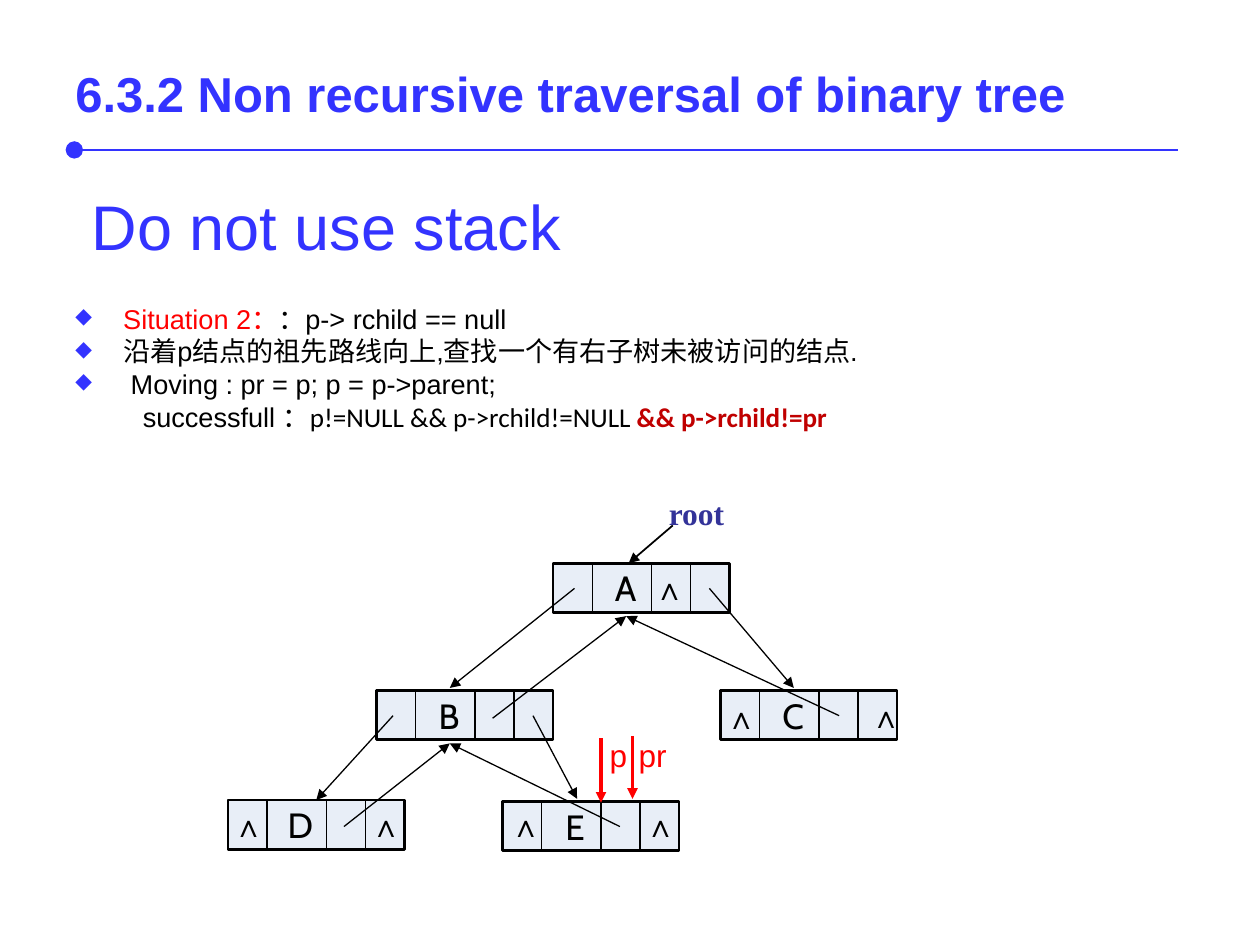
from lxml.etree import SubElement
from pptx import Presentation
from pptx.dml.color import RGBColor
from pptx.enum.shapes import MSO_CONNECTOR, MSO_SHAPE
from pptx.enum.text import MSO_ANCHOR, MSO_AUTO_SIZE, PP_ALIGN
from pptx.oxml.ns import qn
from pptx.util import Inches, Pt

BLUE = RGBColor(0x33, 0x33, 0xFF)
NAVY = RGBColor(0x33, 0x33, 0x99)
RED = RGBColor(0xFF, 0x00, 0x00)
DARK_RED = RGBColor(0xC0, 0x00, 0x00)
BLACK = RGBColor(0x00, 0x00, 0x00)
PALE = RGBColor(0xE8, 0xEE, 0xF7)

SLIDE_WIDTH, SLIDE_HEIGHT = Inches(10), Inches(7.5)
UNIT = SLIDE_WIDTH / 100
NODE_WIDTH, NODE_HEIGHT = 14, 3.9
DIVIDERS = (3.1, 7.8, 10.9)

TITLE = {"name": "Arial", "size": Pt(28), "bold": True}
HEADING = {"name": "Arial", "size": Pt(36)}
BODY = {"name": "Arial", "size": Pt(15.5)}
CODE = {"name": "Calibri", "size": Pt(15.5)}
CODE_BOLD = {**CODE, "bold": True}
ROOT = {"name": "Times New Roman", "size": Pt(18), "bold": True}
LETTER = {"name": "Cabin", "size": Pt(20)}
NIL = {"name": "Arial", "size": Pt(18), "bold": True}
POINTER = {"name": "Arial", "size": Pt(18)}

NODES = {
    "A": (43.9, 44.7),
    "B": (29.9, 54.8),
    "C": (57.2, 54.8),
    "D": (18.1, 63.5),
    "E": (39.9, 63.6),
}
NIL_MARKS = [
    (50.9, 44.7), (56.6, 54.9), (68.1, 54.8),
    (17.5, 63.5), (28.4, 63.5), (39.5, 63.5), (50.2, 63.5),
]
LINKS = [
    ((56.3, 46.7), (63, 54.6)),
    ((27.3, 65.6), (35.7, 59)),
    ((49.2, 65.6), (35.7, 59)),
    ((66.6, 56.8), (49.7, 48.9)),
    ((45.6, 46.7), (35.7, 54.6)),
    ((42.3, 56.8), (45.8, 63.4)),
    ((39.1, 57), (49.7, 48.9)),
]
POINTERS = [
    ("p", (47.7, 58.6), (47.7, 63.7), (47.4, 57.9, 3.4, 4)),
    ("pr", (50.2, 58.4), (50.2, 63.4), (49.7, 57.9, 4.2, 4)),
]
STEPS = [
    (True, [("Situation 2：", BODY, RED), ("：p-> rchild == null", BODY, BLACK)]),
    (True, [("沿着p结点的祖先路线向上,查找一个有右子树未被访问的结点.", BODY, BLACK)]),
    (True, [(" Moving : pr = p; p = p->parent;", BODY, BLACK)]),
    (False, [("successfull ：", BODY, BLACK),
             ("p!=NULL && p->rchild!=NULL ", CODE, BLACK),
             ("&& p->rchild!=pr", CODE_BOLD, DARK_RED)]),
]


def grid(*cells):
    """Turn grid columns or rows into slide lengths."""
    return [round(cell * UNIT) for cell in cells]


def add_run(paragraph, words, style, colour):
    """Add one run in the given style and colour."""
    run = paragraph.add_run()
    run.text = words
    for attribute, value in style.items():
        setattr(run.font, attribute, value)
    run.font.color.rgb = colour
    latin = run.font._element.find(qn("a:latin"))
    east_asian = latin.makeelement(qn("a:ea"), {"typeface": "Noto Sans CJK SC"})
    latin.addnext(east_asian)


def add_frame(slide, place, **settings):
    """Add an empty text box on the grid and return its text frame."""
    frame = slide.shapes.add_textbox(*grid(*place)).text_frame
    for attribute, value in settings.items():
        setattr(frame, attribute, value)
    return frame


def add_label(slide, place, words, style, colour, align=PP_ALIGN.LEFT, **settings):
    """Add a text box that holds a single line."""
    paragraph = add_frame(slide, place, **settings).paragraphs[0]
    paragraph.alignment = align
    add_run(paragraph, words, style, colour)


def add_tight_label(slide, place, words, style, colour):
    """Add an unwrapped label that fits its text."""
    add_label(slide, place, words, style, colour, word_wrap=False,
              auto_size=MSO_AUTO_SIZE.SHAPE_TO_FIT_TEXT)


def add_line(slide, start, end, colour=BLACK, width=0.75, head=None, tail=None):
    """Add a straight line with optional end marks."""
    line = slide.shapes.add_connector(MSO_CONNECTOR.STRAIGHT, *grid(*start, *end))
    line.line.color.rgb = colour
    line.line.width = Pt(width)
    outline = line.line._get_or_add_ln()
    for tag, mark, scale in (("a:headEnd", head, "lg"), ("a:tailEnd", tail, "med")):
        if mark:
            SubElement(outline, qn(tag), type=mark, w=scale, len=scale)
    SubElement(line._element.spPr, qn("a:effectLst"))
    return line


def add_node(slide, letter, left, top):
    """Add a tree node with its letter and field dividers."""
    node = slide.shapes.add_shape(
        MSO_SHAPE.RECTANGLE, *grid(left, top, NODE_WIDTH, NODE_HEIGHT))
    node.shadow.inherit = False
    node.fill.solid()
    node.fill.fore_color.rgb = PALE
    node.line.color.rgb = BLACK
    node.line.width = Pt(1.5)
    add_label(slide, (left + 3.4, top - 0.2, 4.7, 4.4), letter, LETTER, BLACK,
              PP_ALIGN.CENTER, word_wrap=True)
    for offset in DIVIDERS:
        add_line(slide, (left + offset, top), (left + offset, top + NODE_HEIGHT))
    return node


def add_bullet(paragraph):
    """Give a paragraph a blue diamond bullet."""
    properties = paragraph._p.get_or_add_pPr()
    colour = SubElement(properties, qn("a:buClr"))
    SubElement(colour, qn("a:srgbClr"), val=str(BLUE))
    SubElement(properties, qn("a:buSzPct"), val="80000")
    SubElement(properties, qn("a:buChar"), char="◆")


def add_steps(slide):
    """Add the list of traversal steps."""
    frame = add_frame(slide, (5, 23.5, 90, 14.8), word_wrap=True)
    for index, (bulleted, runs) in enumerate(STEPS):
        paragraph = frame.add_paragraph() if index else frame.paragraphs[0]
        margin, hanging = (3.8, -3.8) if bulleted else (5.35, 0)
        properties = paragraph._p.get_or_add_pPr()
        for attribute, cells in (("marL", margin), ("indent", hanging)):
            properties.set(attribute, str(grid(cells)[0]))
        if bulleted:
            add_bullet(paragraph)
        paragraph.line_spacing = Pt(18.6)
        for words, style, colour in runs:
            add_run(paragraph, words, style, colour)


def add_tree(slide):
    """Add the linked binary tree with its pointers."""
    add_line(slide, (53.4, 41.7), (49.9, 44.7), width=1, tail="triangle")
    add_tight_label(slide, (52.1, 38.7, 6.4, 4), "root", ROOT, NAVY)
    nodes = {letter: add_node(slide, letter, *corner)
             for letter, corner in NODES.items()}
    for corner in NIL_MARKS:
        add_tight_label(slide, (*corner, 4.5, 4), "∧", NIL, BLACK)
    for start, end in LINKS:
        add_line(slide, start, end, tail="triangle")
    left_link = add_line(slide, (31.2, 56.8), (25.1, 63.5), tail="triangle")
    left_link.end_connect(nodes["D"], 0)
    for words, start, end, place in POINTERS:
        add_line(slide, start, end, RED, 2, tail="triangle")
        add_tight_label(slide, place, words, POINTER, RED)


def main():
    """Build and save the slide."""
    presentation = Presentation()
    presentation.slide_width = SLIDE_WIDTH
    presentation.slide_height = SLIDE_HEIGHT
    slide = presentation.slides.add_slide(presentation.slide_layouts[6])
    add_line(slide, (5.9, 11.9), (93.5, 11.9), BLUE, 1.5, head="oval")
    add_steps(slide)
    add_tree(slide)
    add_label(slide, (5, 3, 90, 8.8), "6.3.2 Non recursive traversal of binary tree",
              TITLE, BLUE, word_wrap=True, vertical_anchor=MSO_ANCHOR.MIDDLE)
    add_label(slide, (6.3, 14.4, 50, 7), "Do not use stack", HEADING, BLUE,
              word_wrap=True)
    presentation.save("out.pptx")


if __name__ == "__main__":
    main()
